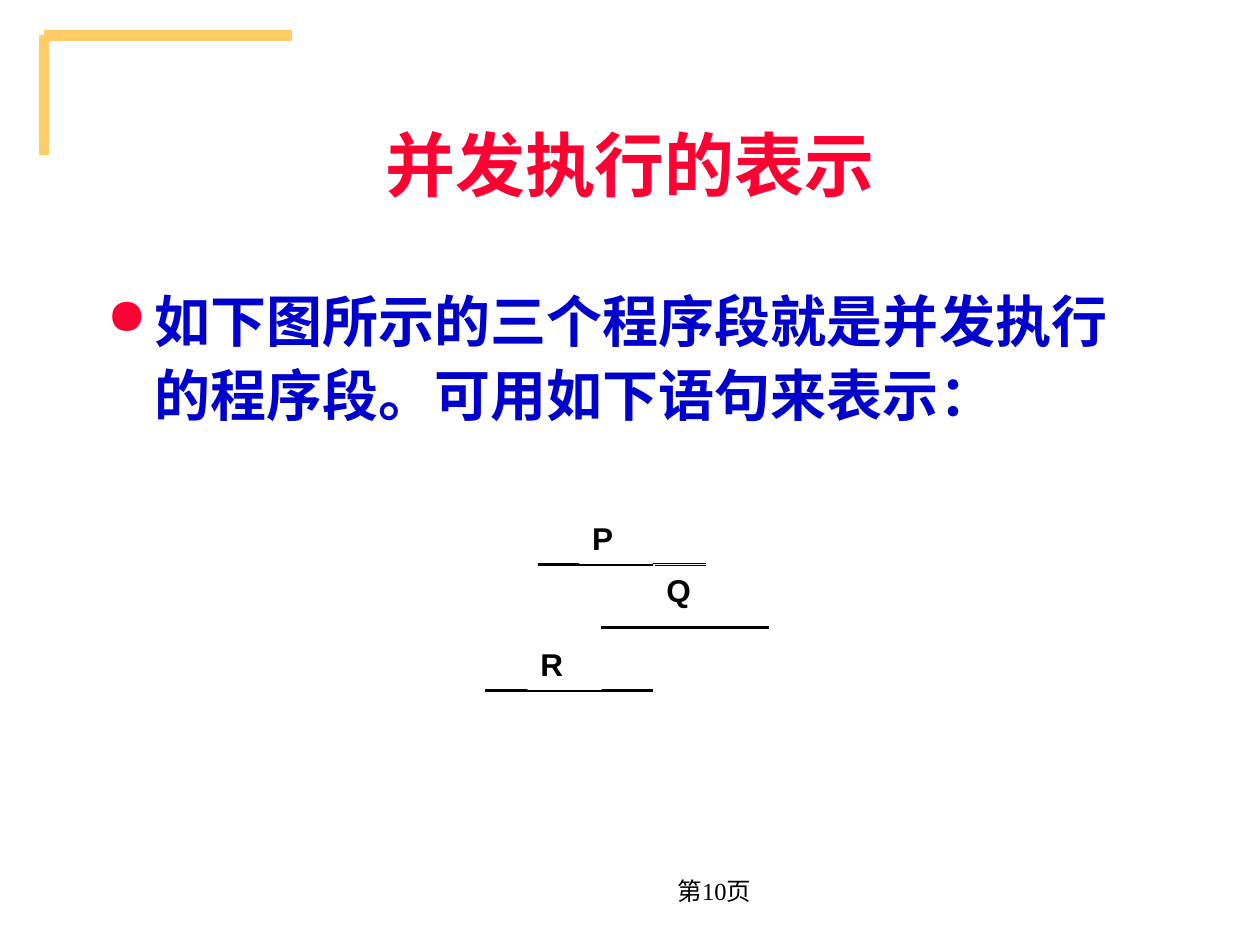
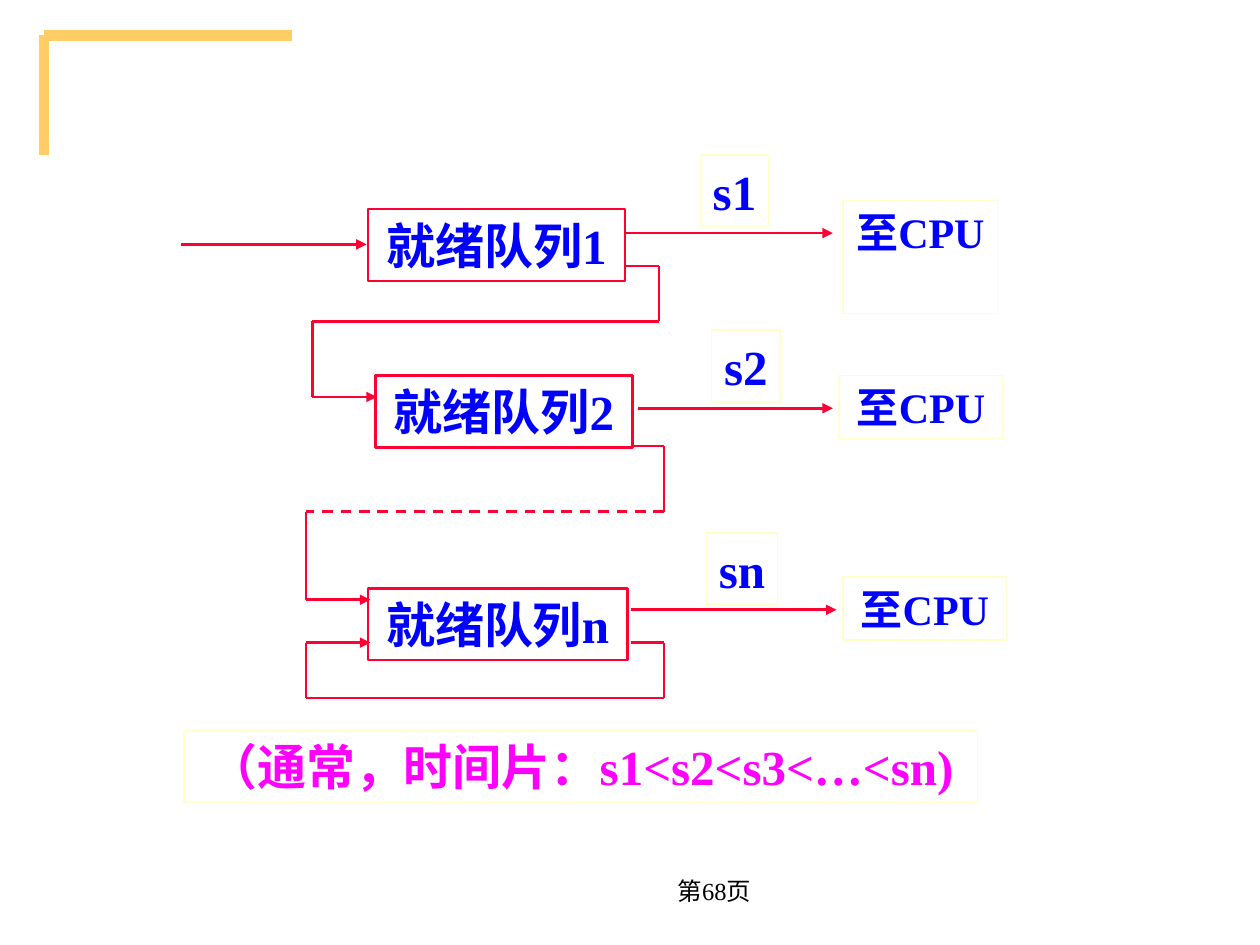
from dataclasses import dataclass
from itertools import pairwise

from lxml.etree import SubElement
from pptx import Presentation
from pptx.dml.color import RGBColor
from pptx.enum.dml import MSO_LINE_DASH_STYLE as Dash
from pptx.enum.shapes import MSO_CONNECTOR as Connector, MSO_SHAPE as Shape
from pptx.enum.text import MSO_ANCHOR as Anchor, PP_ALIGN as Align
from pptx.oxml.ns import qn
from pptx.util import Inches, Pt


@dataclass(frozen=True)
class Theme:
    serif: str = "Times New Roman"
    sans: str = "Arial"
    corner: str = "FFCC66"
    accent: str = "FF0033"
    body: str = "0000CC"
    label: str = "0000FF"
    note: str = "FF00FF"
    frame: str = "FFFFCC"
    black: str = "000000"
    white: str = "FFFFFF"
    title_size: int = 40
    body_size: int = 32
    queue_size: int = 28
    target_size: int = 24
    process_size: int = 18
    footer_size: int = 14


@dataclass(frozen=True)
class Box:
    left: float
    top: float
    width: float
    height: float

    def inner(self, x, y, width, height):
        return Box(self.left + x, self.top + y, width, height)

    def point(self, x, y):
        return self.left + x, self.top + y

    def lengths(self):
        return [Inches(v) for v in (self.left, self.top, self.width, self.height)]


THEME = Theme()


def color(value):
    return RGBColor.from_string(value)


def write(shape, text, size, ink, font=THEME.serif, bold=True,
          align=Align.CENTER, anchor=Anchor.TOP, wrap=True):
    frame = shape.text_frame
    frame.word_wrap = wrap
    frame.vertical_anchor = anchor
    frame.text = text
    para = frame.paragraphs[0]
    para.alignment = align
    for span in para.runs:
        span.font.name = font
        span.font.size = Pt(size)
        span.font.bold = bold
        span.font.color.rgb = color(ink)
    return para


def add_text(page, box, text, size, ink, **style):
    return write(page.shapes.add_textbox(*box.lengths()), text, size, ink, **style)


def add_frame(page, box, text, size, ink, edge, weight=0.75, **style):
    shape = page.shapes.add_shape(Shape.RECTANGLE, *box.lengths())
    shape.shadow.inherit = False
    shape.fill.background()
    shape.line.color.rgb = color(edge)
    shape.line.width = Pt(weight)
    write(shape, text, size, ink, **style)


def add_line(page, start, end, ink, weight, arrow=False, dashed=False):
    ends = [Inches(v) for v in (*start, *end)]
    line = page.shapes.add_connector(Connector.STRAIGHT, *ends)
    line.line.color.rgb = color(ink)
    line.line.width = Pt(weight)
    if dashed:
        line.line.dash_style = Dash.DASH
    if arrow:
        SubElement(line.line._get_or_add_ln(), qn("a:tailEnd"), type="triangle")
    SubElement(line._element.spPr, qn("a:effectLst"))


def add_bullet(para, hang):
    props = para._p.get_or_add_pPr()
    props.set("marL", str(Inches(hang)))
    props.set("indent", str(-Inches(hang)))
    tint = SubElement(props, qn("a:buClr"))
    SubElement(tint, qn("a:srgbClr"), val=THEME.accent)
    SubElement(props, qn("a:buSzPct"), val="90000")
    SubElement(props, qn("a:buChar"), char="●")


def add_page(deck, number):
    page = deck.slides.add_slide(deck.slide_layouts[6])
    corner = (0.35, 0.28)
    for end in ((2.32, 0.28), (0.35, 1.23)):
        add_line(page, corner, end, THEME.corner, 6)
    add_text(page, Box(3.98, 6.82, 2.08, 0.5), f"第{number}页", THEME.footer_size,
             THEME.black, bold=False, align=Align.RIGHT, anchor=Anchor.MIDDLE)
    return page


def add_processes(page, box):
    bars = ((0.42, 0.41), (0.92, 0.91), (0, 1.41))
    names = (("P", 0.75, 0), ("Q", 1.34, 0.41), ("R", 0.34, 1))
    for x, y in bars:
        add_line(page, box.point(x, y), box.point(x + 1.33, y), THEME.black, 2.25)
    for name, x, y in names:
        add_frame(page, box.inner(x, y, 0.58, 0.4), name, THEME.process_size,
                  THEME.black, THEME.white, font=THEME.sans, align=Align.LEFT)


def build_concurrency(deck):
    page = add_page(deck, 10)
    add_text(page, Box(0.75, 0.67, 8.5, 1.25), "并发执行的表示", THEME.title_size,
             THEME.accent, anchor=Anchor.MIDDLE)
    para = add_text(page, Box(0.75, 2.17, 8.5, 4.5),
                    "如下图所示的三个程序段就是并发执行的程序段。可用如下语句来表示：",
                    THEME.body_size, THEME.body, align=Align.LEFT)
    add_bullet(para, 0.38)
    para.line_spacing = 1.1
    add_processes(page, Box(3.85, 4.07, 2.25, 1.47))


def add_arrow(page, box, start_x, end_x, y):
    add_line(page, box.point(start_x, y), box.point(end_x, y),
             THEME.accent, 1.5, arrow=True)


def add_feedback(page, box, start, turn, left, end, dashed):
    x, y = start
    right = x + 0.26
    stops = [(x, y), (right, y), (right, turn), (left, turn),
             (left, end), (left + 0.51, end)]
    legs = list(pairwise(box.point(*stop) for stop in stops))
    for index, (here, there) in enumerate(legs):
        add_line(page, here, there, THEME.accent, 1.5,
                 arrow=index == len(legs) - 1, dashed=dashed and index == 2)


def add_queues(page, box):
    rows = (
        ("1", (4.12, 0, 0.54), (1.48, 0.43, 2.04), (3.53, 5.17, 0.62), (5.25, 0.36, 1.23, 0.9), True),
        ("2", (4.21, 1.39, 0.54), (1.54, 1.75, 2.04), (3.62, 5.17, 2.01), (5.22, 1.75, 1.3, 0.5), False),
        ("n", (4.17, 3, 0.56), (1.48, 3.44, 2.06), (3.57, 5.2, 3.61), (5.25, 3.35, 1.3, 0.5), False),
    )
    loops = (
        ((3.53, 0.88), 1.32, 1.04, 1.92, False),
        ((3.57, 2.31), 2.83, 0.99, 3.53, True),
        ((3.57, 3.87), 4.31, 0.99, 3.87, False),
    )
    for key, time_slice, queue, arrow, target, wrap in rows:
        add_frame(page, box.inner(*time_slice, 0.57), f"s{key}", THEME.queue_size,
                  THEME.label, THEME.frame, wrap=False)
        add_frame(page, box.inner(*queue, 0.57), f"就绪队列{key}", THEME.queue_size,
                  THEME.label, THEME.accent, 1.5, wrap=False)
        add_frame(page, box.inner(*target), "至CPU", THEME.target_size,
                  THEME.label, THEME.frame, wrap=wrap)
        add_arrow(page, box, *arrow)
    add_arrow(page, box, 0, 1.47, 0.71)
    for loop in loops:
        add_feedback(page, box, *loop)


def build_feedback_queues(deck):
    page = add_page(deck, 68)
    add_queues(page, Box(1.44, 1.23, 6.57, 4.31))
    add_frame(page, Box(1.46, 5.8, 6.3, 0.57), "（通常，时间片：s1<s2<s3<…<sn)",
              THEME.queue_size, THEME.note, THEME.frame)


def main():
    deck = Presentation()
    deck.slide_width, deck.slide_height = Inches(10), Inches(7.5)
    build_concurrency(deck)
    build_feedback_queues(deck)
    deck.save("out.pptx")


if __name__ == "__main__":
    main()
